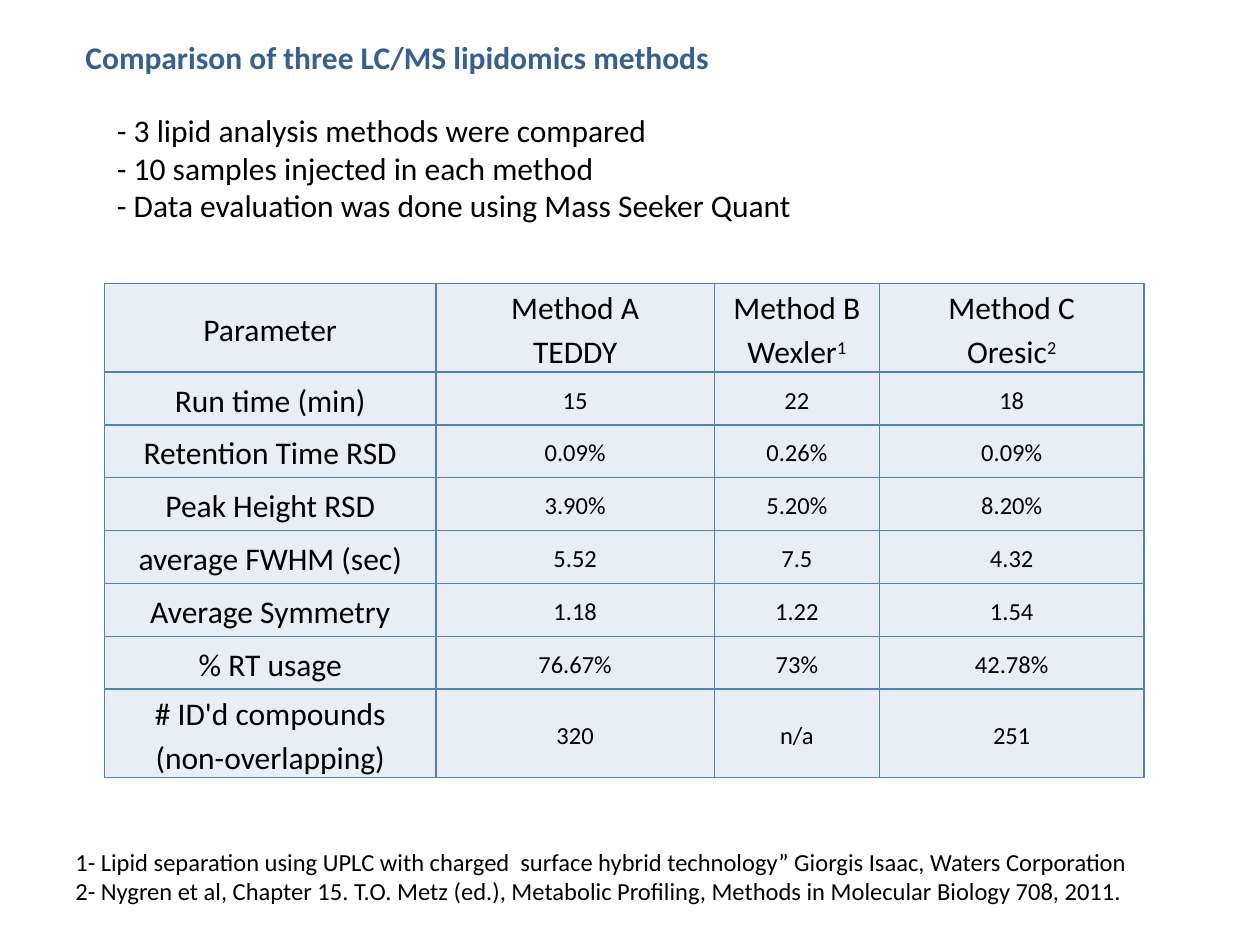
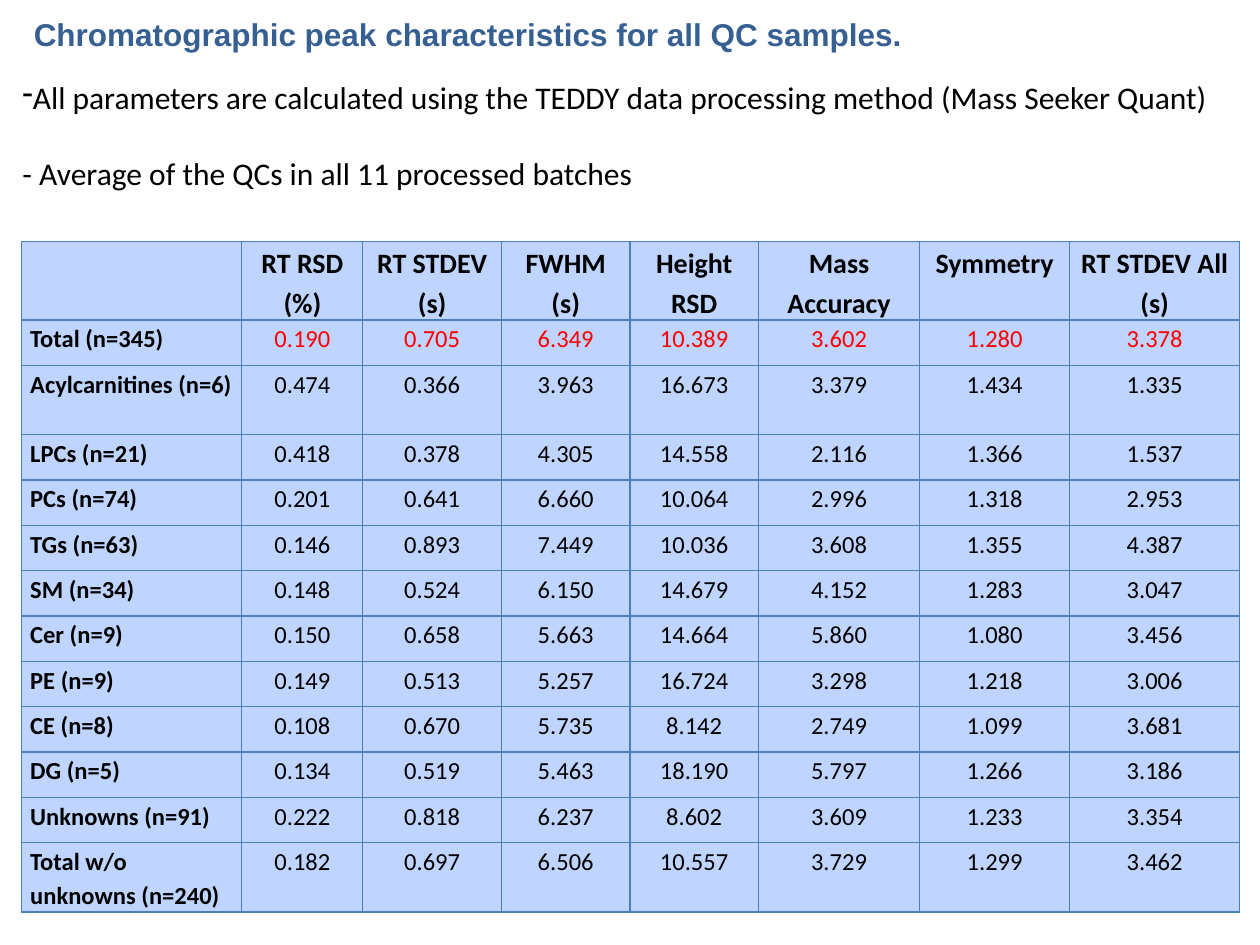
from lxml import etree
from pptx import Presentation
from pptx.dml.color import RGBColor
from pptx.enum.text import MSO_ANCHOR as Anchor, MSO_AUTO_SIZE as AutoSize, PP_ALIGN as Align
from pptx.oxml.ns import qn
from pptx.util import Emu, Pt

EMU_PER_PX = 9144
BLACK, TITLE_BLUE, RED = "000000", "376092", "FF0000"
BODY_FONT = "Calibri"

METHOD_COLUMNS = [263, 221, 131, 210]
METHOD_ROWS = [63] + [42] * 6 + [63]
METHODS = [
    ["Parameter", "Method A\nTEDDY", "Method B\nWexler^1", "Method C\nOresic^2"],
    ["Run time (min)", "15", "22", "18"],
    ["Retention Time RSD", "0.09%", "0.26%", "0.09%"],
    ["Peak Height RSD", "3.90%", "5.20%", "8.20%"],
    ["average FWHM (sec)", "5.52", "7.5", "4.32"],
    ["Average Symmetry", "1.18", "1.22", "1.54"],
    ["% RT usage", "76.67%", "73%", "42.78%"],
    ["# ID'd compounds\n(non-overlapping)", "320", "n/a", "251"],
]

PEAK_COLUMNS = [175, 96, 110, 102, 102, 128, 119, 135]
PEAK_ROWS = [62, 36, 55] + [36] * 9 + [55]
PEAKS = [
    ["", "RT RSD (%)", "RT STDEV (s)", "FWHM (s)", "Height RSD", "Mass Accuracy",
     "Symmetry", "RT STDEV All (s)"],
    ["Total (n=345)", "0.190", "0.705", "6.349", "10.389", "3.602", "1.280", "3.378"],
    ["Acylcarnitines (n=6)", "0.474", "0.366", "3.963", "16.673", "3.379", "1.434", "1.335"],
    ["LPCs (n=21)", "0.418", "0.378", "4.305", "14.558", "2.116", "1.366", "1.537"],
    ["PCs (n=74)", "0.201", "0.641", "6.660", "10.064", "2.996", "1.318", "2.953"],
    ["TGs (n=63)", "0.146", "0.893", "7.449", "10.036", "3.608", "1.355", "4.387"],
    ["SM (n=34)", "0.148", "0.524", "6.150", "14.679", "4.152", "1.283", "3.047"],
    ["Cer (n=9)", "0.150", "0.658", "5.663", "14.664", "5.860", "1.080", "3.456"],
    ["PE (n=9)", "0.149", "0.513", "5.257", "16.724", "3.298", "1.218", "3.006"],
    ["CE (n=8)", "0.108", "0.670", "5.735", "8.142", "2.749", "1.099", "3.681"],
    ["DG (n=5)", "0.134", "0.519", "5.463", "18.190", "5.797", "1.266", "3.186"],
    ["Unknowns (n=91)", "0.222", "0.818", "6.237", "8.602", "3.609", "1.233", "3.354"],
    ["Total w/o unknowns (n=240)", "0.182", "0.697", "6.506", "10.557", "3.729", "1.299", "3.462"],
]


def px(length):
    return Emu(length * EMU_PER_PX)


def rgb(color):
    return RGBColor.from_string(color)


def apply(target, formats):
    for name, value in formats.items():
        setattr(target, name, value)


def add_span(para, text, size, color=BLACK, bold=False, font=BODY_FONT, raised=False):
    span = para.add_run()
    span.text = text
    apply(span.font, {"name": font, "size": Pt(size), "bold": bold})
    span.font.color.rgb = rgb(color)
    if raised:
        span.font._element.set("baseline", "30000")


def add_text(slide, place, lines, size=18, formats=None, gap=0, **look):
    box = slide.shapes.add_textbox(*map(px, place))
    frame = box.text_frame
    apply(frame, {"word_wrap": True, "auto_size": AutoSize.SHAPE_TO_FIT_TEXT, **(formats or {})})
    for index, line in enumerate(lines):
        para = frame.add_paragraph() if index else frame.paragraphs[0]
        if index and gap:
            para.space_before = Pt(gap)
        add_span(para, line, size, **look)
    return box


def add_title(slide, place, text, **options):
    add_text(slide, place, [text], color=TITLE_BLUE, bold=True, **options)


def add_dash_bullet(para):
    properties = para._p.get_or_add_pPr()
    apply_attributes = {"marL": "0", "indent": "0"}
    for name, value in apply_attributes.items():
        properties.set(name, value)
    etree.SubElement(properties, qn("a:buChar")).set("char", "-")


def add_borders(cell, color, width):
    properties = cell._tc.get_or_add_tcPr()
    for side in ("a:lnL", "a:lnR", "a:lnT", "a:lnB"):
        line = etree.SubElement(properties, qn(side), w=str(Pt(width)))
        fill = etree.SubElement(line, qn("a:solidFill"))
        etree.SubElement(fill, qn("a:srgbClr"), val=color)


def fill_cell(cell, text, align, look):
    para = cell.text_frame.paragraphs[0]
    apply(para, {"alignment": align, "line_spacing": 1.15})
    for index, line in enumerate(text.split("\n")):
        if index:
            para.add_line_break()
        body, _, note = line.partition("^")
        if body:
            add_span(para, body, **look)
        if note:
            add_span(para, note, raised=True, **look)


def add_grid(slide, corner, columns, rows, texts, style, fill, border, border_width, anchor):
    frame = slide.shapes.add_table(len(rows), len(columns), *map(px, corner),
                                   px(sum(columns)), px(sum(rows)))
    table = frame.table
    apply(table, {"first_row": False, "horz_banding": False})
    for column, width in zip(table.columns, columns):
        column.width = px(width)
    for row, height in zip(table.rows, rows):
        row.height = px(height)
    margins = {"margin_left": px(7), "margin_right": px(7), "margin_top": 0, "margin_bottom": 0}
    for row, row_texts in enumerate(texts):
        for column, text in enumerate(row_texts):
            cell = table.cell(row, column)
            apply(cell, {"vertical_anchor": anchor, **margins})
            add_borders(cell, border, border_width)
            cell.fill.solid()
            cell.fill.fore_color.rgb = rgb(fill)
            fill_cell(cell, text, *style(row, column))


def method_style(row, column):
    return Align.CENTER, {"size": 14 if row and column else 18}


def peak_style(row, column):
    if row == 0:
        return Align.CENTER, {"size": 16, "bold": True}
    if column == 0:
        return Align.LEFT, {"size": 14, "bold": True}
    return Align.CENTER, {"size": 14, "color": RED if row == 1 else BLACK}


def build_method_slide(slide):
    add_grid(slide, (83, 225), METHOD_COLUMNS, METHOD_ROWS, METHODS, method_style,
             "E9EDF4", "4F81BD", 1, Anchor.MIDDLE)
    add_title(slide, (58, 25, 850, 40), "Comparison of three LC/MS lipidomics methods")
    add_text(slide, (83, 83, 608, 101), [
        "- 3 lipid analysis methods were compared",
        "- 10 samples injected in each method",
        "- Data evaluation was done using Mass Seeker Quant",
    ])
    add_text(slide, (50, 667, 900, 57), [
        "1- Lipid separation using UPLC with charged  surface hybrid technology” "
        "Giorgis Isaac, Waters Corporation",
        "2- Nygren et al, Chapter 15. T.O. Metz (ed.), Metabolic Profiling, "
        "Methods in Molecular Biology 708, 2011.",
    ], size=14)


def build_peak_slide(slide):
    add_grid(slide, (17, 192), PEAK_COLUMNS, PEAK_ROWS, PEAKS, peak_style,
             "BFD5FF", "4B7EBC", 0.75, Anchor.TOP)
    add_title(slide, (17, 7, 716, 40), "Chromatographic peak characteristics for all QC samples.",
              font="Arial", formats={"word_wrap": False, "vertical_anchor": Anchor.MIDDLE})
    box = add_text(slide, (8, 57, 967, 101), [
        "All parameters are calculated using the TEDDY data processing method (Mass Seeker Quant)",
        "- Average of the QCs in all 11 processed batches",
    ], gap=22)
    add_dash_bullet(box.text_frame.paragraphs[0])


def main():
    deck = Presentation()
    apply(deck, {"slide_width": px(1000), "slide_height": px(750)})
    for build in (build_method_slide, build_peak_slide):
        build(deck.slides.add_slide(deck.slide_layouts[6]))
    deck.save("out.pptx")


if __name__ == "__main__":
    main()
